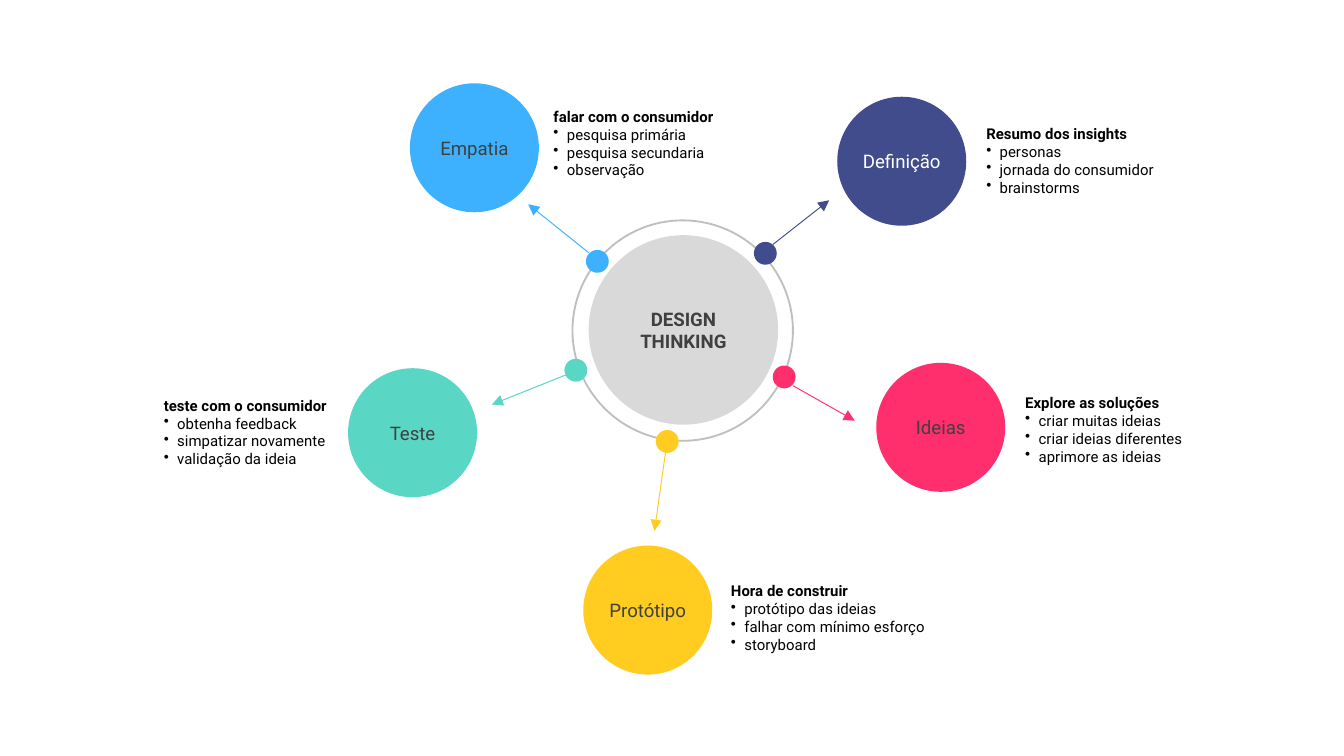
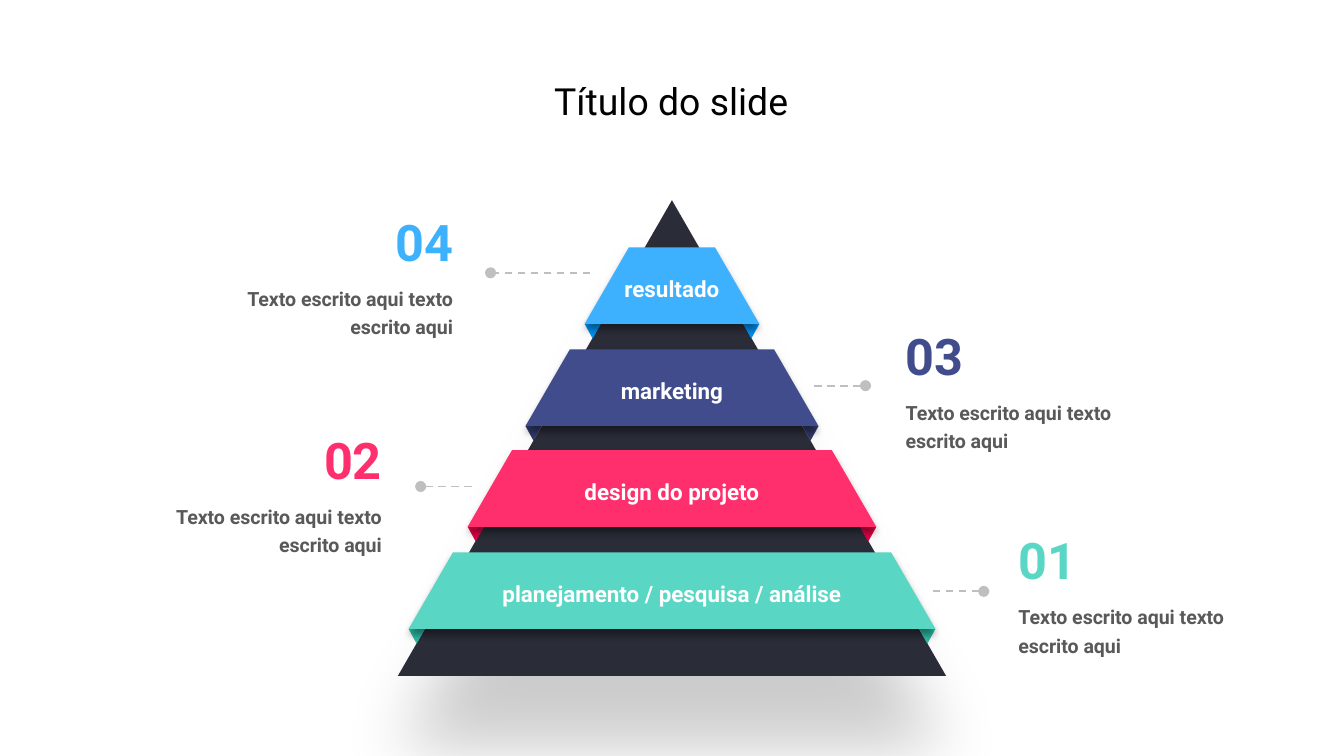
from dataclasses import dataclass

from lxml.etree import SubElement
from pptx import Presentation
from pptx.dml.color import RGBColor
from pptx.enum.dml import MSO_LINE
from pptx.enum.shapes import MSO_CONNECTOR, MSO_SHAPE
from pptx.enum.text import MSO_ANCHOR, MSO_AUTO_SIZE, PP_ALIGN
from pptx.oxml.ns import qn
from pptx.util import Emu, Pt

# Shared scale, font and colours
PX = 9144  # 100 px to the inch
FONT = "Roboto"
BLUE, INDIGO, PINK = "3DB1FE", "414C8C", "FF2F6E"
TEAL, YELLOW = "5AD7C4", "FFCC1F"
WHITE, BLACK, DARK = "FFFFFF", "000000", "2A2C38"
TEXT_GREY, BODY_GREY = "404040", "595959"
LINE_GREY, DISC_GREY = "BFBFBF", "D9D9D9"

# Pyramid geometry
CENTER = 500
SLOPE = 0.577  # half width gained per px of height
PYRAMID_TOP, PYRAMID_BASE = 149, 503
BAND_APEX, BAND_TOP, BAND_STEP, BAND_HEIGHT = 128.5, 184, 75.7, 57
FOLD_WIDTH, FOLD_HEIGHT = 12, 11


@dataclass
class Stage:
    name: str
    color: str
    disc: tuple
    dot: tuple
    arrow: tuple
    notes: tuple  # left, top, width
    heading: str
    bullets: tuple
    text_color: str = TEXT_GREY


STAGES = [
    Stage("Empatia", BLUE, (305, 62), (436, 186), (438, 188, 393, 152),
          (402, 75, 140), "falar com o consumidor",
          ("pesquisa primária", "pesquisa secundaria", "observação")),
    Stage("Definição", INDIGO, (623, 72), (561, 180), (575, 182, 617, 149),
          (724, 88, 146), "Resumo dos insights",
          ("personas", "jornada do consumidor", "brainstorms"), WHITE),
    Stage("Ideias", PINK, (652, 270), (575, 272), (590, 287, 636, 313),
          (753, 288, 139), "Explore as soluções",
          ("criar muitas ideias", "criar ideias diferentes", "aprimore as ideias")),
    Stage("Protótipo", YELLOW, (434, 406), (488, 320), (496, 331, 487, 395),
          (534, 428, 172), "Hora de construir",
          ("protótipo das ideias", "falhar com mínimo esforço", "storyboard")),
    Stage("Teste", TEAL, (259, 274), (420, 267), (421, 279, 366, 301),
          (112, 290, 142), "teste com o consumidor",
          ("obtenha feedback", "simpatizar novamente", "validação da ideia")),
]

# Label, colour, fold colour, label width; from top to bottom
BANDS = [
    ("resultado", BLUE, "018EEB", 107),
    ("marketing", INDIGO, "313969", 149),
    ("design do projeto", PINK, "E20045", 243),
    ("planejamento / pesquisa / análise", TEAL, "2DB8A3", 321),
]

# Number, colour, aligned edge, top, alignment, leader line
CALLOUTS = [
    ("04", BLUE, 347, 152, PP_ALIGN.RIGHT, (439, 203, 365, 203)),
    ("02", PINK, 294, 314, PP_ALIGN.RIGHT, (351, 362, 313, 362)),
    ("03", INDIGO, 664, 237, PP_ALIGN.LEFT, (606, 287, 644, 287)),
    ("01", TEAL, 748, 389, PP_ALIGN.LEFT, (694, 440, 732, 440)),
]


def px(*lengths):
    return [Emu(round(length * PX)) for length in lengths]


def rgb(color):
    return RGBColor.from_string(color)


def add_run(paragraph, text, size, color, bold=False):
    run = paragraph.add_run()
    run.text = text
    run.font.name = FONT
    run.font.size = Pt(size)
    run.font.bold = bold
    run.font.color.rgb = rgb(color)


def set_insets(frame, inset):
    frame.margin_left, frame.margin_top, frame.margin_right, frame.margin_bottom = px(*[inset] * 4)


def add_bullet(paragraph):
    properties = paragraph._p.get_or_add_pPr()
    indent = px(10)[0]
    properties.set("marL", str(indent))
    properties.set("indent", str(-indent))
    SubElement(properties, qn("a:buChar"), char="•")


def add_box(shapes, left, top, width, height, wrap=True):
    frame = shapes.add_textbox(*px(left, top, width, height)).text_frame
    frame.word_wrap = wrap
    frame.auto_size = MSO_AUTO_SIZE.SHAPE_TO_FIT_TEXT
    return frame


def add_line_text(shapes, box, text, size, color, align, spacing=None):
    """One bold paragraph in its own text box."""
    paragraph = add_box(shapes, *box).paragraphs[0]
    paragraph.alignment = align
    if spacing:
        paragraph.line_spacing = spacing
    add_run(paragraph, text, size, color, bold=True)


def add_circle(slide, left, top, size, fill=None, line=None):
    shape = slide.shapes.add_shape(MSO_SHAPE.OVAL, *px(left, top, size, size))
    shape.shadow.inherit = False
    if fill:
        shape.fill.solid()
        shape.fill.fore_color.rgb = rgb(fill)
    else:
        shape.fill.background()
    if line:
        shape.line.color.rgb = rgb(line)
        shape.line.width = Pt(1)
    else:
        shape.line.fill.background()
    return shape


def add_circle_label(shape, text, color, bold=False):
    frame = shape.text_frame
    set_insets(frame, 0)
    frame.word_wrap = True
    frame.vertical_anchor = MSO_ANCHOR.MIDDLE
    paragraph = frame.paragraphs[0]
    paragraph.alignment = PP_ALIGN.CENTER
    add_run(paragraph, text, 10, color, bold)


def add_line(slide, ends, color, width, end_mark, dash=None):
    connector = slide.shapes.add_connector(MSO_CONNECTOR.STRAIGHT, *px(*ends))
    connector.line.color.rgb = rgb(color)
    connector.line.width = Pt(width)
    if dash:
        connector.line.dash_style = dash
    SubElement(connector.line._get_or_add_ln(), qn("a:tailEnd"), type=end_mark)
    SubElement(connector._element.spPr, qn("a:effectLst"))


def add_shadow(shape, opacity, blur, distance):
    """Soft black shadow straight below; blur and distance in points."""
    effects = shape._element.spPr.find(qn("a:effectLst"))
    shadow = SubElement(effects, qn("a:outerShdw"), blurRad=str(Pt(blur)),
                        dist=str(Pt(distance)), dir="5400000", algn="t", rotWithShape="0")
    color = SubElement(shadow, qn("a:srgbClr"), val=BLACK)
    SubElement(color, qn("a:alpha"), val=str(opacity * 1000))


def add_polygon(shapes, points, fill):
    corners = [px(*point) for point in points]
    builder = shapes.build_freeform(*corners[0], scale=1.0)
    builder.add_line_segments(corners[1:], close=True)
    shape = builder.convert_to_shape()
    shape.shadow.inherit = False
    shape.fill.solid()
    shape.fill.fore_color.rgb = rgb(fill)
    shape.line.fill.background()
    return shape


def add_stage(slide, stage):
    add_circle(slide, *stage.dot, 17, stage.color)
    disc = add_circle(slide, *stage.disc, 96, stage.color)
    add_circle_label(disc, stage.name, stage.text_color)
    add_line(slide, stage.arrow, stage.color, 0.5, "triangle")
    # Heading and bullets beside the disc
    frame = add_box(slide.shapes, *stage.notes, 64, wrap=False)
    add_run(frame.paragraphs[0], stage.heading, 8, BLACK, bold=True)
    for text in stage.bullets:
        paragraph = frame.add_paragraph()
        add_bullet(paragraph)
        add_run(paragraph, text, 8, BLACK)


def add_band(slide, index, label, color, fold_color, label_width):
    shapes = slide.shapes.add_group_shape().shapes
    top = round(BAND_TOP + index * BAND_STEP)
    bottom = top + BAND_HEIGHT
    half_top = round(SLOPE * (top - BAND_APEX))
    half_bottom = round(SLOPE * (bottom - BAND_APEX))
    # Folded corners
    for left in (CENTER - half_bottom, CENTER + half_bottom - FOLD_WIDTH):
        add_polygon(shapes, [(left, bottom), (left + FOLD_WIDTH, bottom),
                             (left + FOLD_WIDTH / 2, bottom + FOLD_HEIGHT)], fold_color)
    # Front face and its label
    face = add_polygon(shapes, [(CENTER - half_top, top), (CENTER + half_top, top),
                                (CENTER + half_bottom, bottom),
                                (CENTER - half_bottom, bottom)], color)
    add_shadow(face, 40, 4, 3)
    add_line_text(shapes, (CENTER - label_width / 2, top + 14, label_width, 32),
                  label, 12, WHITE, PP_ALIGN.CENTER, 1.1)


def add_callout(slide, number, color, edge, top, align, leader):
    add_line(slide, leader, LINE_GREY, 1, "oval", MSO_LINE.DASH)
    shapes = slide.shapes.add_group_shape().shapes
    number_width, text_width = 156, 196
    on_right = align == PP_ALIGN.RIGHT
    number_left = edge - number_width if on_right else edge
    text_left = edge - text_width if on_right else edge
    add_line_text(shapes, (number_left, top, number_width, 56), number, 27, color, align)
    add_line_text(shapes, (text_left, top + 53, text_width, 52),
                  "Texto escrito aqui texto escrito aqui", 10.5, BODY_GREY, align, 1.2)


def set_title(slide, text):
    title = slide.shapes.title
    title.left, title.top, title.width, title.height = px(371, 56, 257, 38)
    frame = title.text_frame
    set_insets(frame, 2)
    frame.word_wrap = True
    frame.auto_size = MSO_AUTO_SIZE.SHAPE_TO_FIT_TEXT
    frame.vertical_anchor = MSO_ANCHOR.TOP
    paragraph = frame.paragraphs[0]
    paragraph.alignment = PP_ALIGN.CENTER
    add_run(paragraph, text, 20, BLACK)


def build_design_thinking(presentation):
    slide = presentation.slides.add_slide(presentation.slide_layouts[6])
    hub = add_circle(slide, 438, 175, 141, DISC_GREY)
    add_circle_label(hub, "DESIGN THINKING", TEXT_GREY, bold=True)
    add_circle(slide, 426, 164, 164, line=LINE_GREY)
    for stage in STAGES:
        add_stage(slide, stage)


def build_pyramid(presentation):
    slide = presentation.slides.add_slide(presentation.slide_layouts[5])
    set_title(slide, "Título do slide")
    half_base = round(SLOPE * (PYRAMID_BASE - PYRAMID_TOP))
    pyramid = add_polygon(slide.shapes, [(CENTER - half_base, PYRAMID_BASE), (CENTER, PYRAMID_TOP),
                                         (CENTER + half_base, PYRAMID_BASE)], DARK)
    add_shadow(pyramid, 20, 36, 39)
    for index, band in enumerate(BANDS):
        add_band(slide, index, *band)
    for callout in CALLOUTS:
        add_callout(slide, *callout)


def main():
    presentation = Presentation()
    presentation.slide_width = px(1000)[0]
    presentation.slide_height = px(562.5)[0]
    build_design_thinking(presentation)
    build_pyramid(presentation)
    presentation.save("out.pptx")


if __name__ == "__main__":
    main()
